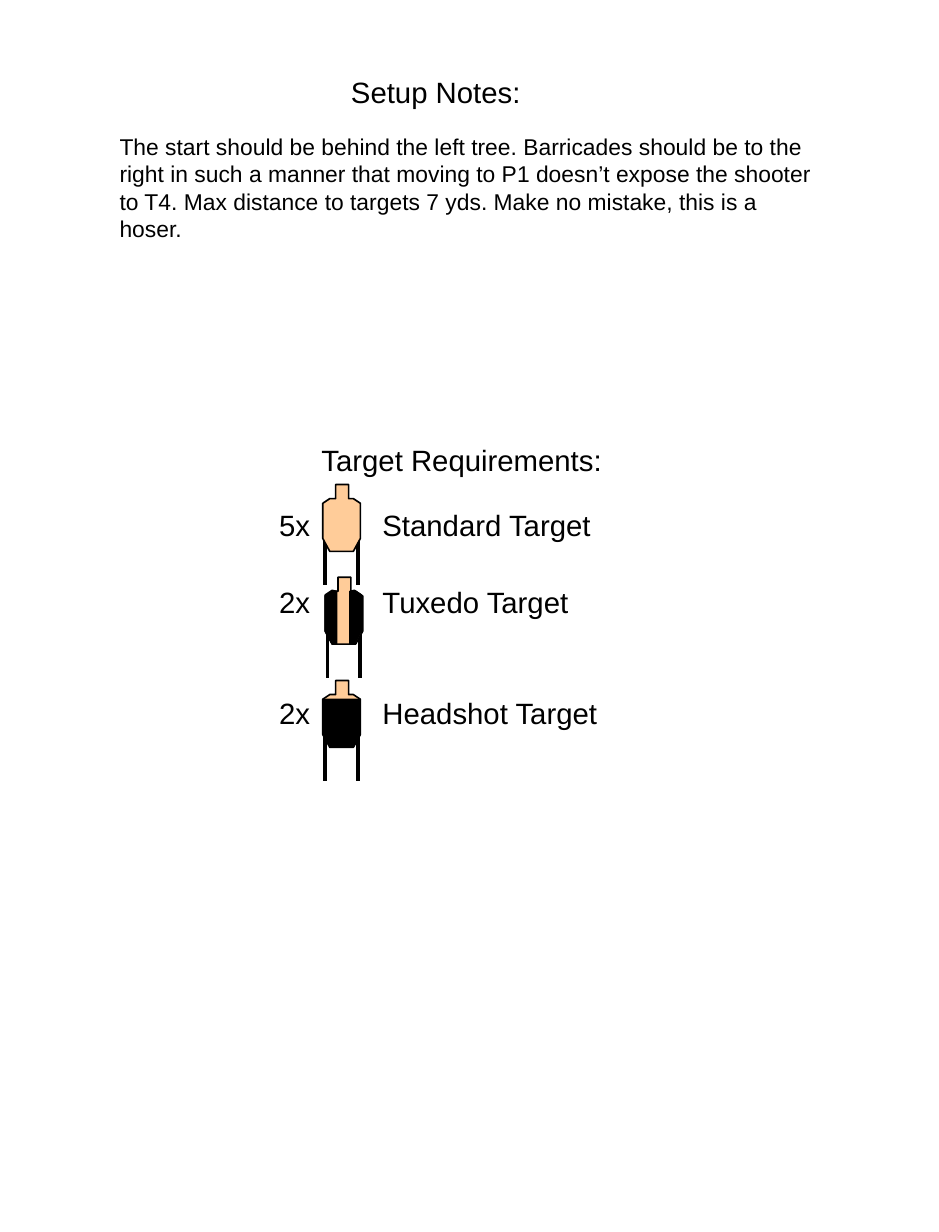
from dataclasses import dataclass

from lxml import etree
from pptx import Presentation
from pptx import util as u
from pptx.dml.color import RGBColor
from pptx.enum import shapes, text
from pptx.oxml.ns import qn

COLORS = {"ink": "000000", "cardboard": "FFCC99"}
Outline = list[tuple[float, float]]

BODY: Outline = [
    (0.11, 0), (0.22, 0), (0.22, 0.12), (0.26, 0.12), (0.32, 0.16), (0.32, 0.46),
    (0.26, 0.57), (0.06, 0.57), (0, 0.46), (0, 0.16), (0.06, 0.12), (0.11, 0.12),
]
JACKET_RIGHT: Outline = [
    (0.21, 0.12), (0.21, 0.57), (0.25, 0.57), (0.31, 0.46), (0.31, 0.15), (0.25, 0.11),
]
JACKET_LEFT: Outline = [(0.31 - x, y) for x, y in JACKET_RIGHT]
TORSO: Outline = [(0, 0.16), (0.32, 0.16), (0.32, 0.46), (0.26, 0.57), (0.07, 0.57), (0, 0.46)]
LEG_OFFSETS = (0.02, 0.3)
LEG_TOP, LEG_BOTTOM = 0.42, 0.86
ROW_LEFT, ROW_WIDTH, NAME_TAB = 2.28, 2.95, 0.88


@dataclass(frozen=True)
class Target:
    count: str
    name: str
    label_top: float
    left: float
    top: float
    patches: tuple[Outline, ...] = ()


TARGETS = [
    Target("5x", "Standard Target", 4.27, 2.75, 4.13),
    Target("2x", "Tuxedo Target", 4.93, 2.77, 4.92, (JACKET_RIGHT, JACKET_LEFT)),
    Target("2x", "Headshot Target", 5.88, 2.75, 5.8, (TORSO,)),
]


def color(name: str) -> RGBColor:
    return RGBColor.from_string(COLORS[name])


def write(shape, content: str, size: float, tab: float | None = None) -> None:
    frame = shape.text_frame
    frame.text = content
    frame.word_wrap = True
    frame.auto_size = text.MSO_AUTO_SIZE.NONE
    frame.vertical_anchor = text.MSO_ANCHOR.TOP
    paragraph = frame.paragraphs[0]
    paragraph.alignment = text.PP_ALIGN.LEFT
    if tab is not None:
        tabs = etree.SubElement(paragraph._p.get_or_add_pPr(), qn("a:tabLst"))
        etree.SubElement(tabs, qn("a:tab"), pos=str(u.Inches(tab)), algn="l")
    for run in paragraph.runs:
        run.font.name = "Arial"
        run.font.size = u.Pt(size)
        run.font.color.rgb = color("ink")


def add_text(slide, left: float, top: float, width: float, height: float,
             content: str, size: float, tab: float | None = None) -> None:
    box = slide.shapes.add_textbox(*map(u.Inches, (left, top, width, height)))
    write(box, content, size, tab)


def add_outline(group, target: Target, outline: Outline, fill: str, line_width: float) -> None:
    points = [(u.Inches(target.left + x), u.Inches(target.top + y)) for x, y in outline]
    builder = group.shapes.build_freeform(*points[0])
    builder.add_line_segments(points[1:], close=True)
    shape = builder.convert_to_shape()
    shape.shadow.inherit = False
    shape.fill.solid()
    shape.fill.fore_color.rgb = color(fill)
    shape.line.color.rgb = color("ink")
    shape.line.width = u.Pt(line_width)


def add_leg(group, x: float, top: float, bottom: float) -> None:
    leg = group.shapes.add_connector(
        shapes.MSO_CONNECTOR.STRAIGHT, *map(u.Inches, (x, top, x, bottom)))
    leg.line.color.rgb = color("ink")
    leg.line.width = u.Pt(2.25)
    etree.SubElement(leg._element.spPr, qn("a:effectLst"))


def add_target(slide, target: Target) -> None:
    group = slide.shapes.add_group_shape()
    for offset in LEG_OFFSETS:
        add_leg(group, target.left + offset, target.top + LEG_TOP, target.top + LEG_BOTTOM)
    add_outline(group, target, BODY, "cardboard", 1)
    for patch in target.patches:
        add_outline(group, target, patch, "ink", 0)
    add_text(slide, ROW_LEFT, target.label_top, ROW_WIDTH, 0.4,
             f"{target.count}\t{target.name}", 18, NAME_TAB)


def main() -> None:
    presentation = Presentation()
    presentation.slide_width = u.Inches(8)
    presentation.slide_height = u.Inches(10.5)
    slide = presentation.slides.add_slide(presentation.slide_layouts[5])

    title = slide.shapes.title
    title.left, title.top = u.Inches(2.89), u.Inches(0.58)
    title.width, title.height = u.Inches(1.66), u.Inches(0.4)
    write(title, "Setup Notes:", 18)

    add_text(slide, 0.92, 1.08, 6.17, 1.04,
             "The start should be behind the left tree. Barricades should be to the right "
             "in such a manner that moving to P1 doesn’t expose the shooter to T4. "
             "Max distance to targets 7 yds. Make no mistake, this is a hoser.", 14)
    add_text(slide, 2.64, 3.72, 2.7, 0.4, "Target Requirements:", 18)
    for target in TARGETS:
        add_target(slide, target)

    presentation.save("out.pptx")


if __name__ == "__main__":
    main()
